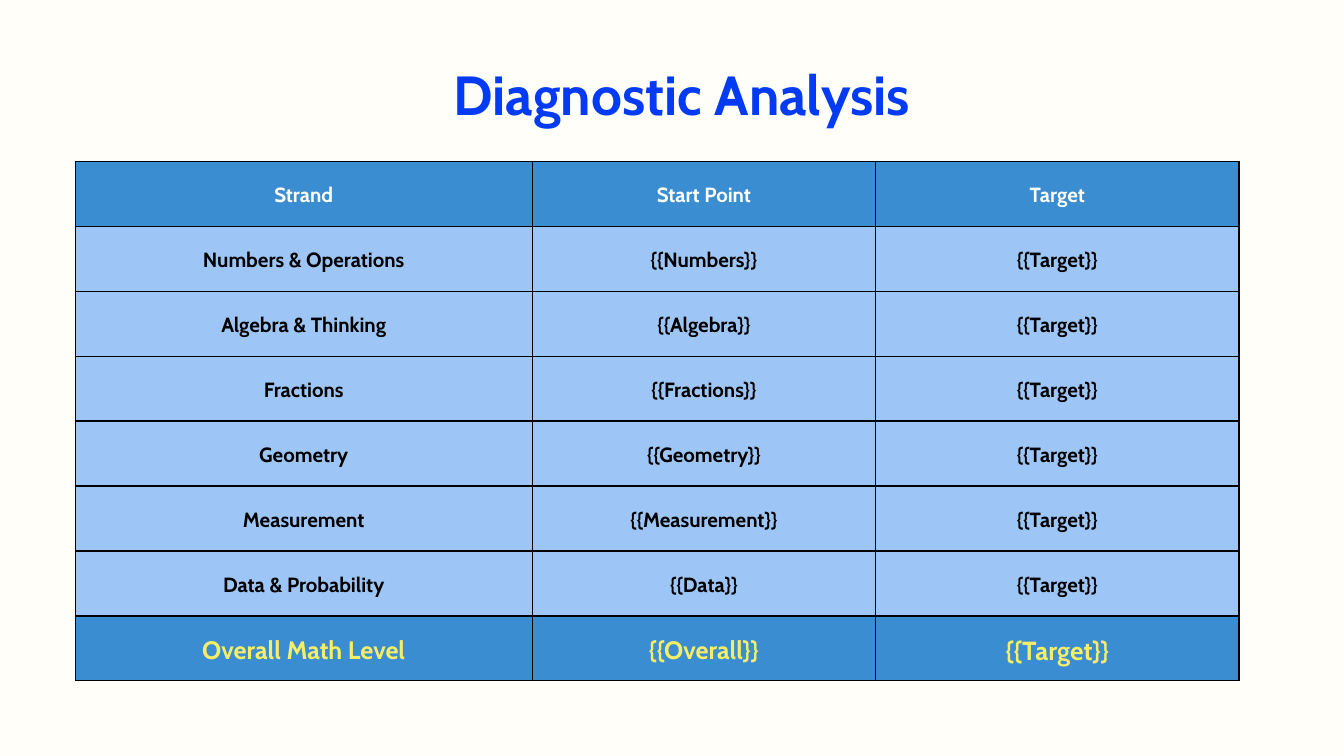
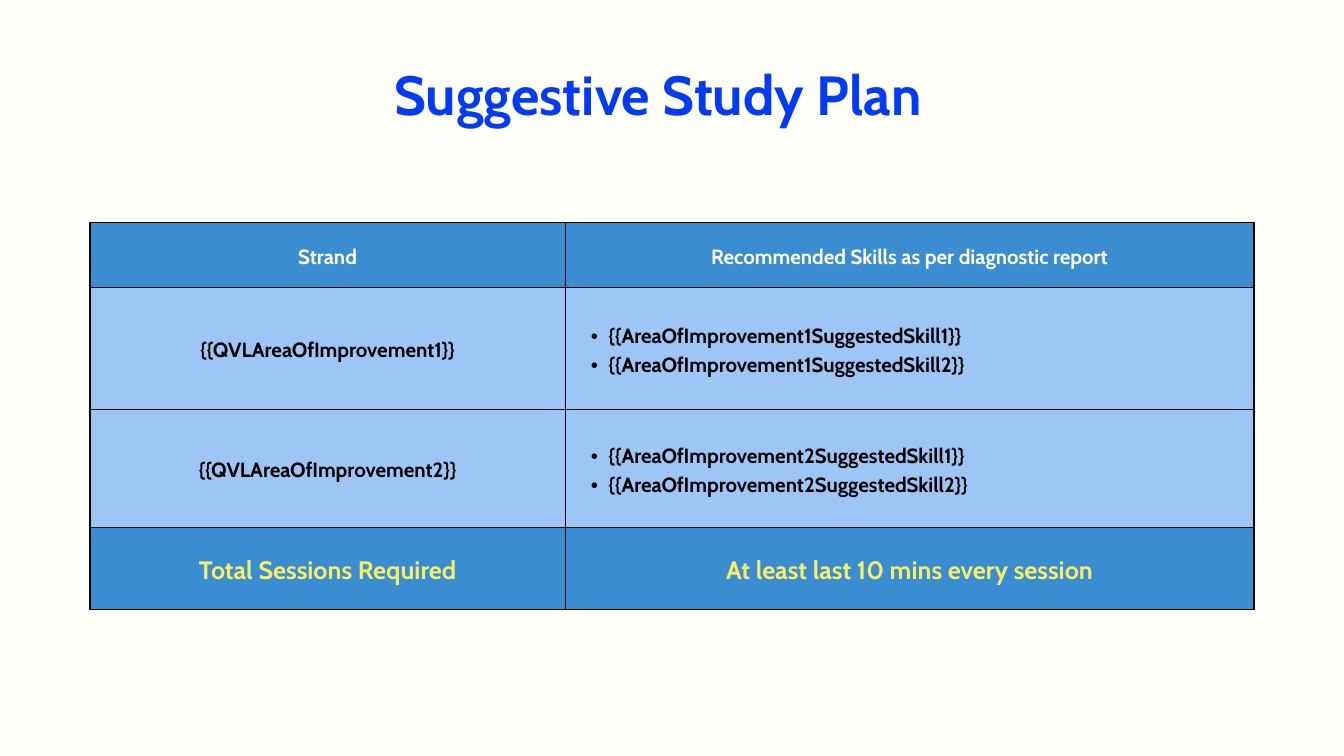
from dataclasses import dataclass

import pptx
import pptx.dml.color
import pptx.enum.text
import pptx.oxml.ns
import pptx.util
from lxml import etree

Pt = pptx.util.Pt
RGB = pptx.dml.color.RGBColor.from_string
ALIGN = pptx.enum.text.PP_ALIGN
ANCHOR = pptx.enum.text.MSO_ANCHOR


@dataclass(frozen=True)
class Theme:
    font: str = "Cabin"
    paper: str = "FFFEF8"
    title: str = "023BF3"
    band: str = "3B8DD2"
    body: str = "9DC6F6"
    ink: str = "000000"
    accent: str = "F8EE66"
    title_size: int = 59
    cell_size: int = 22
    total_size: int = 27
    leading: float = 1.4
    border: float = 1.5
    padding: float = 9
    bullet_indent: float = 18.72


THEME = Theme()


def add_xml(parent, tag, **attributes):
    return etree.SubElement(parent, pptx.oxml.ns.qn(tag), attributes)


def style_paragraph(para, size, color, align):
    para.alignment = align
    para.line_spacing = Pt(round(size * THEME.leading, 1))
    para.font.name = THEME.font
    para.font.size = Pt(size)
    para.font.bold = True
    para.font.color.rgb = RGB(color)


def add_bullet(para):
    para.level = 1
    properties = para._p.get_or_add_pPr()
    properties.set("marL", str(Pt(2 * THEME.bullet_indent)))
    properties.set("indent", str(-Pt(THEME.bullet_indent)))
    add_xml(properties, "a:buFont", typeface="Arial")
    add_xml(properties, "a:buChar", char="•")


def add_borders(cell):
    properties = cell._tc.get_or_add_tcPr()
    for side in ("a:lnL", "a:lnR", "a:lnT", "a:lnB"):
        line = add_xml(properties, side, w=str(Pt(THEME.border)))
        add_xml(add_xml(line, "a:solidFill"), "a:srgbClr", val=THEME.ink)


def fill_cell(cell, content, size, color, fill):
    """A string is centred; a list becomes bullets."""
    add_borders(cell)
    cell.fill.solid()
    cell.fill.fore_color.rgb = RGB(fill)
    cell.vertical_anchor = ANCHOR.MIDDLE
    cell.margin_left = cell.margin_right = Pt(THEME.padding)
    cell.margin_top = cell.margin_bottom = Pt(THEME.padding)
    bulleted = isinstance(content, list)
    lines = content if bulleted else [content]
    cell.text = "\n".join(lines)
    for para in cell.text_frame.paragraphs:
        if bulleted:
            add_bullet(para)
        style_paragraph(para, size, color, ALIGN.LEFT if bulleted else ALIGN.CENTER)


def add_page(deck):
    page = deck.slides.add_slide(deck.slide_layouts[6])
    page.background.fill.solid()
    page.background.fill.fore_color.rgb = RGB(THEME.paper)
    return page


def add_title(page, box, text, inset=0):
    frame = page.shapes.add_textbox(*map(Pt, box)).text_frame
    frame.word_wrap = True
    frame.margin_left = Pt(inset)
    frame.margin_right = frame.margin_top = frame.margin_bottom = 0
    frame.text = text
    style_paragraph(frame.paragraphs[0], THEME.title_size, THEME.title, ALIGN.LEFT)


def add_report_table(page, box, widths, heights, rows):
    """Header row, light body rows and a highlighted total row."""
    table = page.shapes.add_table(len(rows), len(widths), *map(Pt, box)).table
    table.first_row = table.horz_banding = False
    for column, width in zip(table.columns, widths):
        column.width = Pt(width)
    for row, height in zip(table.rows, heights):
        row.height = Pt(height)
    header = (THEME.cell_size, THEME.paper, THEME.band)
    body = (THEME.cell_size, THEME.ink, THEME.body)
    total = (THEME.total_size, THEME.accent, THEME.band)
    looks = [header] + [body] * (len(rows) - 2) + [total]
    for row, contents, look in zip(table.rows, rows, looks):
        for cell, content in zip(row.cells, contents):
            fill_cell(cell, content, *look)
    return table


def diagnostic_page(deck):
    page = add_page(deck)
    strands = [
        ("Numbers & Operations", "Numbers"),
        ("Algebra & Thinking", "Algebra"),
        ("Fractions", "Fractions"),
        ("Geometry", "Geometry"),
        ("Measurement", "Measurement"),
        ("Data & Probability", "Data"),
        ("Overall Math Level", "Overall"),
    ]
    rows = [("Strand", "Start Point", "Target")]
    rows += [(name, "{{" + field + "}}", "{{Target}}") for name, field in strands]
    row_height = 69.6
    table = add_report_table(
        page, (80.6, 172.8, 1247, row_height * len(rows)),
        (489.6, 367.9, 389.5), [row_height] * len(rows), rows)
    # The overall target stands one point larger
    target = table.cell(len(rows) - 1, 2).text_frame.paragraphs[0]
    style_paragraph(target, THEME.total_size + 1, THEME.accent, ALIGN.CENTER)
    add_title(page, (473.8, 52.6, 588.2, 79.2), "Diagnostic Analysis", inset=12)


def study_plan_page(deck):
    page = add_page(deck)
    add_title(page, (422.6, 52.6, 638.6, 79.2), "Suggestive Study Plan")
    rows = [("Strand", "Recommended Skills as per diagnostic report")]
    for area in (1, 2):
        skills = [f"{{{{AreaOfImprovement{area}SuggestedSkill{skill}}}}}" for skill in (1, 2)]
        rows.append((f"{{{{QVLAreaOfImprovement{area}}}}}", skills))
    rows.append(("Total Sessions Required", "At least last 10 mins every session"))
    heights = (69.8, 131, 126, 87.8)
    add_report_table(page, (96.5, 238.3, 1247, sum(heights)), (509, 738), heights, rows)


def main():
    deck = pptx.Presentation()
    deck.slide_width, deck.slide_height = Pt(1440), Pt(810)
    diagnostic_page(deck)
    study_plan_page(deck)
    deck.save("out.pptx")


if __name__ == "__main__":
    main()
